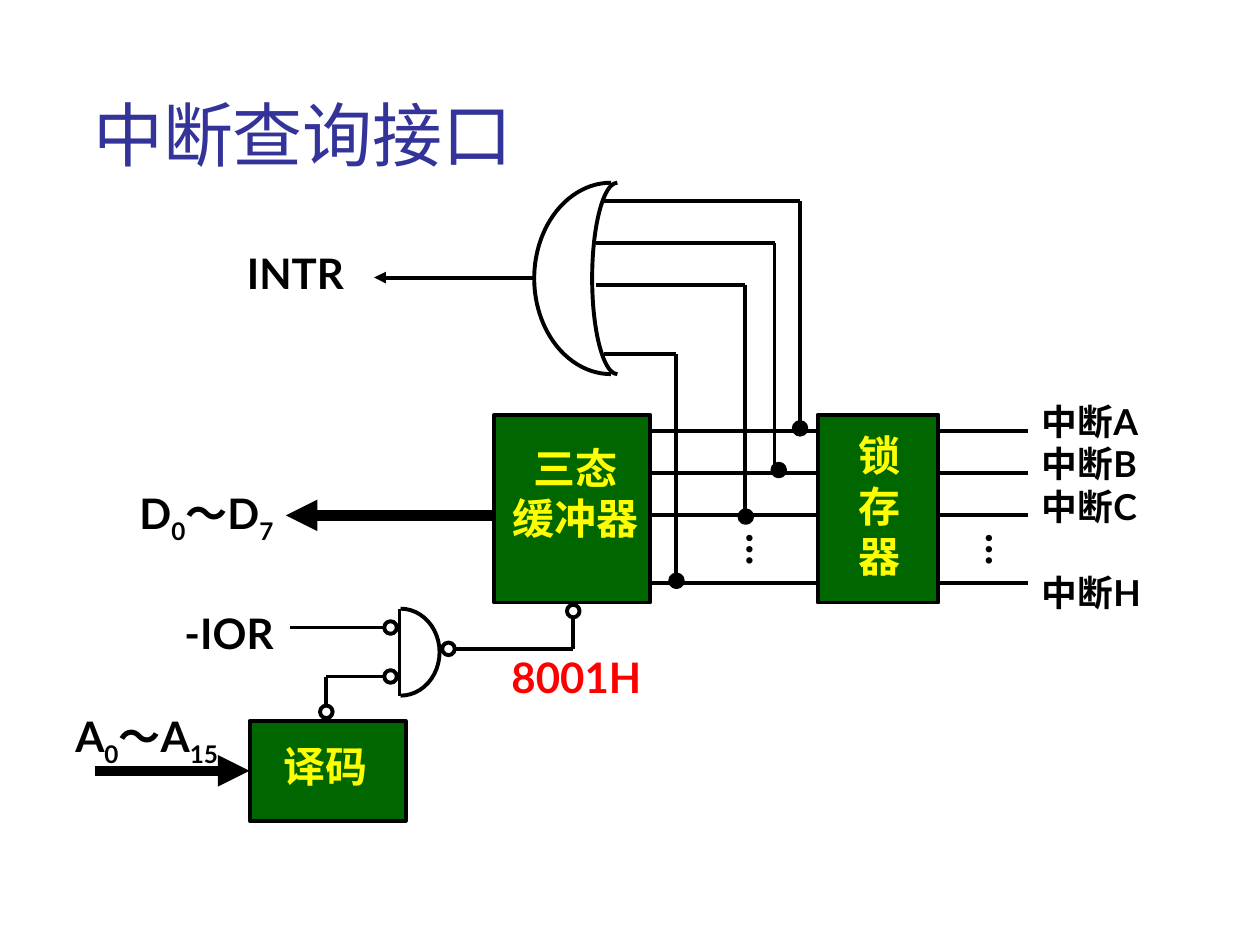
from dataclasses import dataclass

from lxml.etree import SubElement
from pptx import Presentation
from pptx.dml.color import RGBColor
from pptx.enum.shapes import MSO_CONNECTOR, MSO_SHAPE
from pptx.enum.text import MSO_ANCHOR, PP_ALIGN
from pptx.oxml.ns import qn
from pptx.util import Pt


@dataclass(frozen=True)
class Theme:
    font: str = "Lato"
    title: RGBColor = RGBColor(0x33, 0x33, 0x99)
    ink: RGBColor = RGBColor(0, 0, 0)
    block: RGBColor = RGBColor(0, 0x66, 0)
    block_text: RGBColor = RGBColor(0xFF, 0xFF, 0)
    address: RGBColor = RGBColor(0xFF, 0, 0)
    title_size: float = 40
    label_size: float = 24
    signal_size: float = 20.4
    wire: float = 2.25
    bus: float = 6
    node: float = 7.2
    inset: float = 0.7


def add_span(para, text, *, font, size, color, bold=True, subscript=False):
    span = para.add_run()
    span.text = text
    span.font.name = font
    span.font.size = Pt(size)
    span.font.color.rgb = color
    span.font.bold = bold
    if subscript:
        span.font._element.set("baseline", "-25000")


class Diagram:
    """Draws circuit elements on one slide in a shared style."""

    def __init__(self, page, theme):
        self.page = page
        self.theme = theme

    def title(self, text, left, top, width, height):
        box = self.page.shapes.title
        box.left, box.top, box.width, box.height = map(Pt, (left, top, width, height))
        box.text_frame.vertical_anchor = MSO_ANCHOR.BOTTOM
        para = box.text_frame.paragraphs[0]
        para.alignment = PP_ALIGN.LEFT
        add_span(para, text, font=self.theme.font, size=self.theme.title_size,
                 color=self.theme.title, bold=False)

    def label(self, lines, left, top, width, height, *, align=PP_ALIGN.CENTER,
              size=None, color=None, last_gap=0, vertical=False):
        box = self.page.shapes.add_textbox(*map(Pt, (left, top, width, height)))
        frame = box.text_frame
        frame.word_wrap = True
        frame.margin_left = frame.margin_right = Pt(self.theme.inset)
        frame.margin_top = frame.margin_bottom = Pt(self.theme.inset)
        if vertical:
            frame._txBody.bodyPr.set("vert", "eaVert")
        for index, line in enumerate(lines):
            para = frame.add_paragraph() if index else frame.paragraphs[0]
            para.alignment = align
            for position, part in enumerate(line.split("|")):
                add_span(para, part, font=self.theme.font,
                         size=size or self.theme.label_size,
                         color=color or self.theme.ink, subscript=position % 2 == 1)
        if last_gap:
            para.space_before = Pt(last_gap)

    def shape(self, kind, left, top, width, height, fill=None):
        shape = self.page.shapes.add_shape(kind, *map(Pt, (left, top, width, height)))
        shape.shadow.inherit = False
        shape.line.color.rgb = self.theme.ink
        shape.line.width = Pt(self.theme.wire)
        if fill is None:
            shape.fill.background()
        else:
            shape.fill.solid()
            shape.fill.fore_color.rgb = fill
        return shape

    def block(self, left, top, width, height):
        return self.shape(MSO_SHAPE.RECTANGLE, left, top, width, height, self.theme.block)

    def node(self, x, y, fill=None):
        size = self.theme.node
        self.shape(MSO_SHAPE.OVAL, x - size / 2, y - size / 2, size, size, fill)

    def arc(self, left, top, width, height, start, end):
        arc = self.shape(MSO_SHAPE.ARC, left, top, width, height)
        arc.adjustments[0], arc.adjustments[1] = start * 0.6, end * 0.6

    def wire(self, *points, width=None, arrow=False):
        for start, end in zip(points, points[1:]):
            line = self.page.shapes.add_connector(
                MSO_CONNECTOR.STRAIGHT, *map(Pt, (*start, *end)))
            line.line.color.rgb = self.theme.ink
            line.line.width = Pt(width or self.theme.wire)
            properties = line._element.spPr
            SubElement(properties, qn("a:effectLst"))
            if arrow:
                SubElement(properties.find(qn("a:ln")), qn("a:tailEnd"), type="triangle")
        return line


def main():
    deck = Presentation()
    deck.slide_width, deck.slide_height = Pt(720), Pt(540)
    theme = Theme()
    page = deck.slides.add_slide(deck.slide_layouts[5])
    art = Diagram(page, theme)
    art.title("中断查询接口", 46, 13.7, 613.4, 90)

    art.block(467.3, 237, 69, 107.3)
    art.block(282.3, 237, 89.2, 107.3)
    decoder = art.block(142.6, 412, 89.2, 57)
    yellow = theme.block_text
    art.label(["锁", "存", "器"], 479.2, 244.8, 46.8, 111.6, color=yellow)
    art.label(["三态", "缓冲器"], 274.3, 252, 108.7, 107.3, color=yellow)
    art.label(["译码"], 131.8, 422.6, 108.7, 39.6, color=yellow)

    art.arc(305.3, 104.4, 87.8, 109.4, 90, 270)
    art.arc(338.4, 104.4, 28.8, 109.4, 90, 270)
    art.arc(206.6, 347.8, 44.6, 49.7, 270, 90)
    art.wire((228.3, 347.8), (228.3, 397.5))

    taps = [
        (246.2, 344.2, 115, 457, (457.2, 244.8)),
        (270.4, 340.6, 139, 442.6, (445, 268.6)),
        (294.5, 340.6, 162.7, 425.7, (426.2, 295.2)),
        (333.4, 344.9, 202.3, 386.2, (386.6, 331.9)),
    ]
    for signal_y, gate_x, gate_y, tap_x, dot in taps:
        art.wire((371.5, signal_y), (468, signal_y))
        art.wire((536.4, signal_y), (587.5, signal_y))
        art.wire((gate_x, gate_y), (tap_x, gate_y), (tap_x, signal_y))
        art.node(*dot, fill=theme.ink)

    for x, y in [(186.5, 406.8), (327.6, 349.2), (256.3, 370.8), (223.2, 358.6), (223.2, 386.6)]:
        art.node(x, y)
    art.wire((218.9, 358.6), (165.6, 358.6))
    art.wire((218.9, 386.6), (186.5, 386.6), (186.5, 403.5))
    art.wire((260.6, 371), (327.4, 371), (327.4, 352.5))

    art.wire((305.3, 158.6), (213.8, 158.6), arrow=True)
    art.wire((282.6, 294.5), (163.4, 294.5), width=theme.bus, arrow=True)
    address_bus = art.wire((54, 440.5), (142.6, 440.5), width=theme.bus, arrow=True)
    address_bus.end_connect(decoder, 1)

    right, left = PP_ALIGN.RIGHT, PP_ALIGN.LEFT
    art.label(["INTR"], 118, 141, 79.2, 32.4, align=right)
    art.label(["-IOR"], 77.8, 346.3, 79.2, 32.4, align=right)
    art.label(["D|0|～D|7"], 61.2, 278, 95.8, 57.6, align=right)
    art.label(["A|0|～A|15"], 15.1, 405.4, 110.2, 46, align=right)
    art.label(["8001H"], 291.6, 371.5, 95.8, 32.4, align=left, color=theme.address)
    art.label(["中断A", "中断B", "中断C", "中断H"], 594.7, 227.5, 81.4, 125.3,
              align=left, size=theme.signal_size, last_gap=24.5)
    for x in (408.2, 545):
        art.label(["…"], x, 304, 43.2, 26, vertical=True)
    deck.save("out.pptx")


if __name__ == "__main__":
    main()
